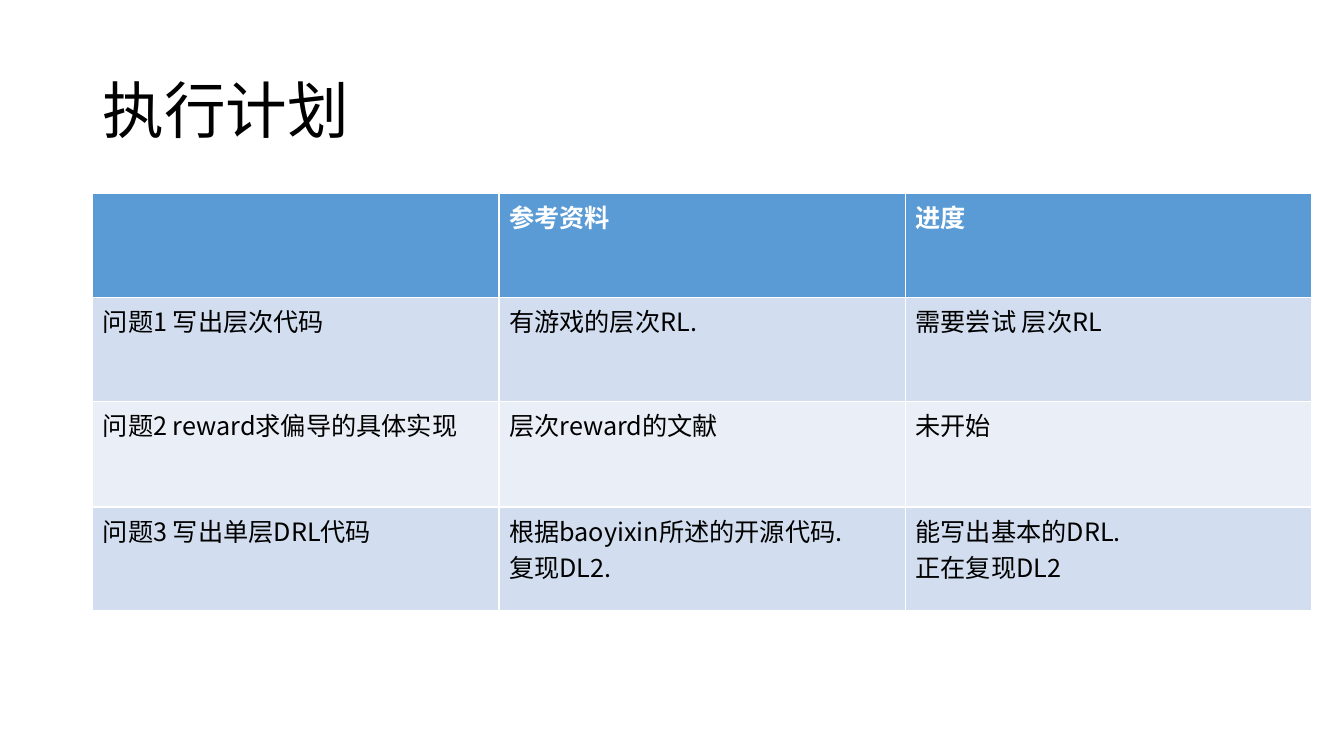
from lxml import etree
from pptx import Presentation
from pptx import util as u
from pptx.dml.color import RGBColor
from pptx.enum import text
from pptx.oxml.ns import qn

FONT = "Noto Sans CJK SC"
BLACK, WHITE = "000000", "FFFFFF"
HEADER_FILL = "5B9BD5"
BAND_FILLS = ["D2DEEF", "EAEFF7"]
ROW_HEIGHTS = [1.03, 1.03, 1.05, 1.03]
COLUMN_WIDTH = 4.03
PLAN = [
    ["", "参考资料", "进度"],
    ["问题1 写出层次代码", "有游戏的层次RL.", "需要尝试 层次RL"],
    ["问题2 reward求偏导的具体实现", "层次reward的文献", "未开始"],
    ["问题3 写出单层DRL代码", "根据baoyixin所述的开源代码.\n复现DL2.",
     "能写出基本的DRL.\n正在复现DL2"],
]


def color(value):
    return RGBColor.from_string(value)


def write_text(frame, content, size, fill, bold=False):
    frame.text = content
    for paragraph in frame.paragraphs:
        font = paragraph.font
        font.name = FONT
        font.size = u.Pt(size)
        font.bold = bold
        font.color.rgb = color(fill)
        # Chinese characters take their font from a separate element
        properties = paragraph._p.pPr.find(qn("a:defRPr"))
        etree.SubElement(properties, qn("a:ea"), typeface=FONT)


def add_title(slide, content):
    box = slide.shapes.add_textbox(
        u.Inches(0.92), u.Inches(0.4), u.Inches(11.5), u.Inches(1.45))
    frame = box.text_frame
    frame.word_wrap = True
    frame.vertical_anchor = text.MSO_ANCHOR.MIDDLE
    write_text(frame, content, 44, BLACK)
    frame.paragraphs[0].line_spacing = 0.9


def add_plan_table(slide, rows):
    columns = len(rows[0])
    table = slide.shapes.add_table(
        len(rows), columns, u.Inches(0.92), u.Inches(1.92),
        u.Inches(COLUMN_WIDTH * columns), u.Inches(sum(ROW_HEIGHTS))).table
    for column in table.columns:
        column.width = u.Inches(COLUMN_WIDTH)
    for index, (row, height) in enumerate(zip(rows, ROW_HEIGHTS)):
        table.rows[index].height = u.Inches(height)
        header = index == 0
        fill = HEADER_FILL if header else BAND_FILLS[(index - 1) % 2]
        for cell, content in zip(table.rows[index].cells, row):
            cell.fill.solid()
            cell.fill.fore_color.rgb = color(fill)
            write_text(cell.text_frame, content, 18,
                       WHITE if header else BLACK, header)


def main():
    presentation = Presentation()
    presentation.slide_width = u.Inches(13.33)
    presentation.slide_height = u.Inches(7.5)
    slide = presentation.slides.add_slide(presentation.slide_layouts[6])
    add_title(slide, "执行计划")
    add_plan_table(slide, PLAN)
    presentation.save("out.pptx")


if __name__ == "__main__":
    main()
